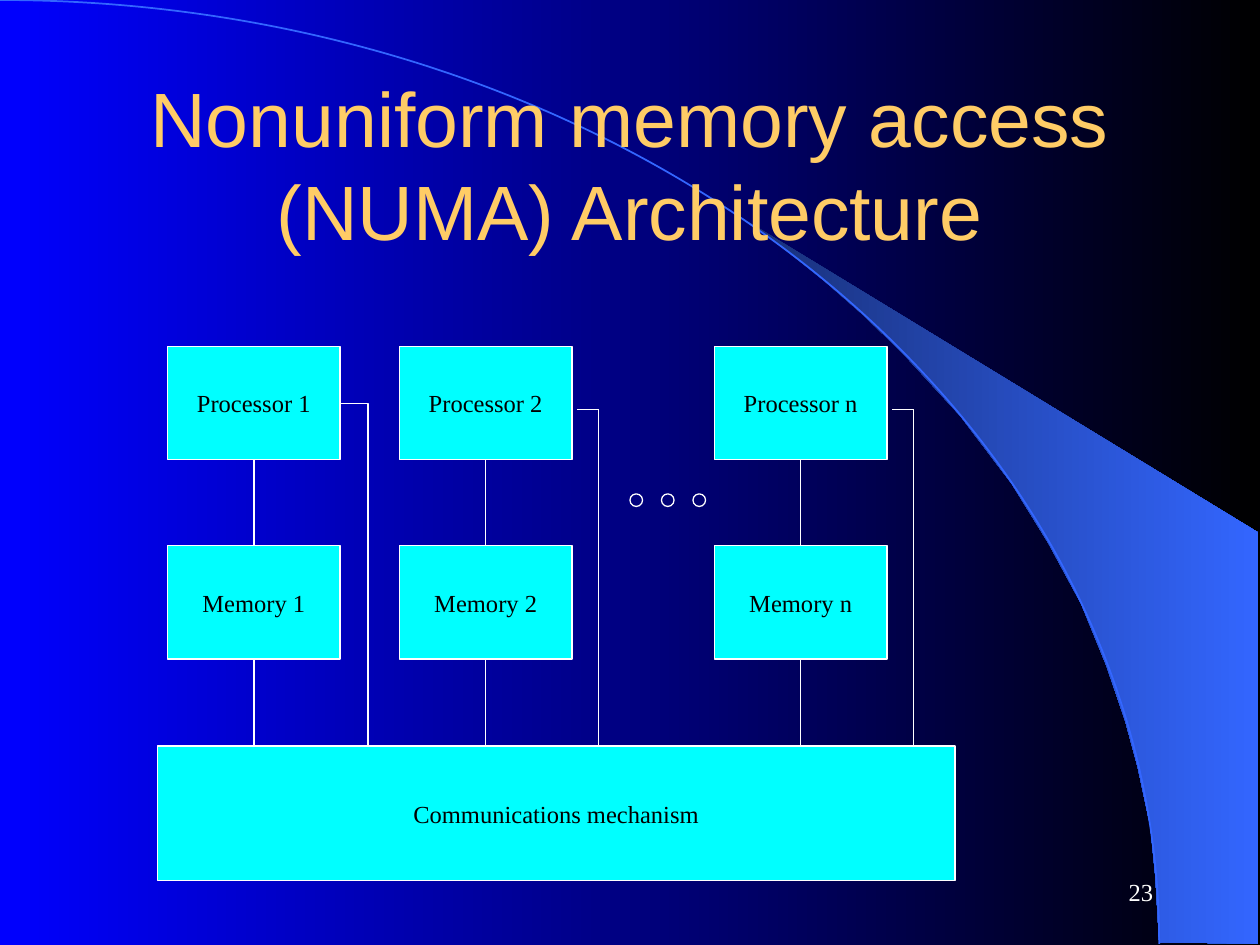
from lxml import etree
from pptx import Presentation
from pptx import util as u
from pptx.dml.color import RGBColor
from pptx.enum import shapes, text
from pptx.oxml.ns import qn

COLORS = {
    "blue": "0000FF", "black": "000000", "navy": "182F76", "arc": "3366FF",
    "title": "FFCC66", "white": "FFFFFF", "cyan": "00FFFF",
}
RGB = {name: RGBColor.from_string(value) for name, value in COLORS.items()}
SERIF = "Times New Roman"
STRAIGHT = shapes.MSO_CONNECTOR.STRAIGHT

deck = Presentation()
deck.slide_width, deck.slide_height = u.Inches(10), u.Inches(7.5)
page = deck.slides.add_slide(deck.slide_layouts[5])


def add_box(label, left, top, width, height):
    box = page.shapes.add_shape(shapes.MSO_SHAPE.RECTANGLE, u.Inches(left),
                                u.Inches(top), u.Inches(width), u.Inches(height))
    box.shadow.inherit = False
    box.fill.solid()
    box.fill.fore_color.rgb = RGB["cyan"]
    box.line.color.rgb = RGB["white"]
    box.line.width = u.Pt(0.75)
    box.text_frame.word_wrap = False
    para = box.text_frame.paragraphs[0]
    para.text = label
    para.alignment = text.PP_ALIGN.CENTER
    para.font.name, para.font.size = SERIF, u.Pt(14)
    para.font.color.rgb = RGB["black"]
    return box


def add_line(x1, y1, x2, y2, kind=STRAIGHT):
    line = page.shapes.add_connector(kind, u.Inches(x1), u.Inches(y1),
                                     u.Inches(x2), u.Inches(y2))
    line.line.color.rgb = RGB["white"]
    line.line.width = u.Pt(0.75)
    etree.SubElement(line._element.spPr, qn("a:effectLst"))
    return line


wedge_points = [
    (9.99, 7.49), (9.99, 4.23), (5.89, 1.73), (6.24, 1.99), (6.53, 2.22),
    (6.85, 2.5), (7.16, 2.8), (7.62, 3.3), (8.03, 3.84), (8.32, 4.31),
    (8.58, 4.79), (8.78, 5.28), (8.93, 5.72), (9.03, 6.09), (9.13, 6.56),
    (9.17, 6.96),
]
outline = page.shapes.build_freeform(9.2, 7.48, scale=u.Inches(1) / 1.0)
outline.add_line_segments(wedge_points, close=True)
outline = page.shapes.build_freeform(920, 748, scale=u.Inches(0.01))
outline.add_line_segments([(round(x * 100), round(y * 100)) for x, y in wedge_points])
wedge = outline.convert_to_shape()
wedge.shadow.inherit = False
wedge.line.fill.background()

for fill, start, end in ((page.background.fill, "blue", "black"),
                         (wedge.fill, "navy", "arc")):
    fill.gradient()
    fill.gradient_angle = 0
    for stop, name in zip(fill.gradient_stops, (start, end)):
        stop.color.rgb = RGB[name]

outline = page.shapes.build_freeform(0, 0, scale=u.Inches(0.01))
outline.add_line_segments([(920, 749)], close=False)
arc = outline.convert_to_shape()
arc.shadow.inherit = False
arc.fill.background()
arc.line.color.rgb = RGB["arc"]
arc.line.width = u.Pt(1)
segment = arc._element.find(".//" + qn("a:lnTo"))
segment.tag = qn("a:cubicBezTo")
for index, (x, y) in enumerate([(508, 0), (920, 335)]):
    point = etree.Element(qn("a:pt"), x=str(x), y=str(y))
    segment.insert(index, point)

number = page.shapes.add_textbox(u.Inches(7.17), u.Inches(6.83),
                                 u.Inches(2.08), u.Inches(0.5))
number.text_frame.word_wrap = True
number.text_frame.vertical_anchor = text.MSO_ANCHOR.MIDDLE
para = number.text_frame.paragraphs[0]
para.text = "23"
para.alignment = text.PP_ALIGN.RIGHT
para.font.name, para.font.size = SERIF, u.Pt(14)
para.font.color.rgb = RGB["white"]

title = page.shapes.title
title.left, title.top = u.Inches(0.75), u.Inches(0.67)
title.width, title.height = u.Inches(8.5), u.Inches(1.25)
title.text_frame.vertical_anchor = text.MSO_ANCHOR.MIDDLE
para = title.text_frame.paragraphs[0]
para.text = "Nonuniform memory access (NUMA) Architecture"
para.alignment = text.PP_ALIGN.CENTER
para.font.name, para.font.size = "Arial", u.Pt(44)
para.font.color.rgb = RGB["title"]
page.shapes._spTree.append(title._element)

for index in range(3):
    dot = page.shapes.add_shape(shapes.MSO_SHAPE.FLOWCHART_CONNECTOR,
                                u.Inches(5 + 0.25 * index), u.Inches(3.92),
                                u.Inches(0.1), u.Inches(0.1))
    dot.shadow.inherit = False
    dot.fill.background()
    dot.line.color.rgb = RGB["white"]
    dot.line.width = u.Pt(0.75)

box_width, box_height = 1.37, 0.9
processor_top, memory_top, bus_top = 2.75, 4.33, 5.92
add_box("Communications mechanism", 1.25, bus_top, 6.33, 1.07)

for name, left in (("1", 1.33), ("2", 3.17), ("n", 5.67)):
    processor = add_box(f"Processor {name}", left, processor_top, box_width, box_height)
    memory = add_box(f"Memory {name}", left, memory_top, box_width, box_height)
    middle, right = left + box_width / 2, left + box_width

    link = add_line(middle, processor_top + box_height, middle, memory_top)
    link.begin_connect(processor, 2)
    link.end_connect(memory, 0)
    link = add_line(middle, memory_top + box_height, middle, bus_top)
    link.begin_connect(memory, 2)

    if name == "1":
        elbow = add_line(right, 3.2, 2.92, 5.75, shapes.MSO_CONNECTOR.ELBOW)
        elbow._element.spPr.find(qn("a:prstGeom")).set("prst", "bentConnector2")
        elbow.begin_connect(processor, 3)
        add_line(2.92, 5.67, 2.92, bus_top)
    else:
        side = left + 1.58
        add_line(side - 0.17, 3.25, side, 3.25)
        add_line(side, 3.25, side, bus_top)

deck.save("out.pptx")
